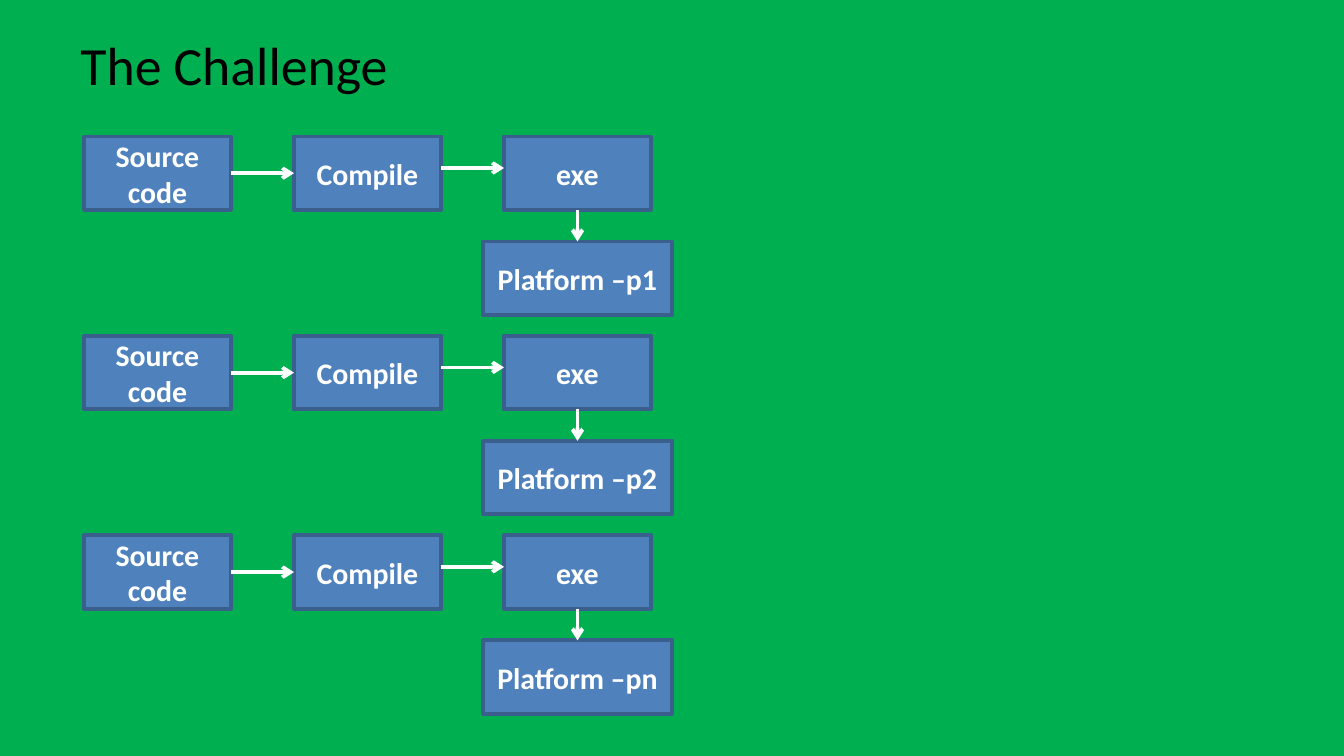
from lxml import etree
from pptx import Presentation
from pptx.dml.color import RGBColor
from pptx.enum import shapes, text
from pptx.oxml import ns
from pptx.util import Pt

GREEN = RGBColor(0x00, 0xB0, 0x50)
BLUE = RGBColor(0x4F, 0x81, 0xBD)
EDGE = RGBColor(0x3A, 0x5F, 0x8C)
WHITE = RGBColor(0xFF, 0xFF, 0xFF)
BLACK = RGBColor(0x00, 0x00, 0x00)
FONT = "Calibri"

STEPS = ["Source code", "Compile", "exe"]
PLATFORMS = ["Platform –p1", "Platform –p2", "Platform –pn"]
BOX_W, BOX_H = 78.75, 39.4
STEP_GAP = 112.5
PLAT_W, PLAT_DROP = 101.25, 56.25
ROW_GAP = 106.85


def style(frame, size, color, bold=False):
    frame.word_wrap = True
    frame.vertical_anchor = text.MSO_ANCHOR.MIDDLE
    font = frame.paragraphs[0].runs[0].font
    font.name, font.size, font.bold = FONT, Pt(size), bold
    font.color.rgb = color


def add_title(slide, x, y, w, h):
    frame = slide.shapes.add_textbox(Pt(x), Pt(y), Pt(w), Pt(h)).text_frame
    frame.text = "The Challenge"
    style(frame, 28.8, BLACK)


def add_box(slide, label, x, y, w):
    box = slide.shapes.add_shape(
        shapes.MSO_SHAPE.RECTANGLE, Pt(x), Pt(y), Pt(w), Pt(BOX_H))
    box.shadow.inherit = False
    box.fill.solid()
    box.fill.fore_color.rgb = BLUE
    box.line.color.rgb = EDGE
    box.line.width = Pt(2)
    frame = box.text_frame
    frame.margin_left = frame.margin_right = Pt(6)
    frame.text = label
    frame.paragraphs[0].alignment = text.PP_ALIGN.CENTER
    style(frame, 16, WHITE, bold=True)
    return box


def add_arrow(slide, x1, y1, x2, y2):
    arrow = slide.shapes.add_connector(
        shapes.MSO_CONNECTOR.STRAIGHT, Pt(x1), Pt(y1), Pt(x2), Pt(y2))
    arrow.line.color.rgb = WHITE
    arrow.line.width = Pt(2)
    line = arrow.line._get_or_add_ln()
    etree.SubElement(line, ns.qn("a:tailEnd"), type="arrow")
    etree.SubElement(arrow._element.spPr, ns.qn("a:effectLst"))
    return arrow


def join(slide, start, side, end, end_side):
    arrow = add_arrow(slide, 0, 0, 0, 0)
    arrow.begin_connect(start, side)
    arrow.end_connect(end, end_side)


def add_build(slide, platform, x, y):
    """Draw one chain from source to exe, with its platform below."""
    source, build, exe = [
        add_box(slide, step, x + i * STEP_GAP, y, BOX_W)
        for i, step in enumerate(STEPS)]
    exe_x = x + 2 * STEP_GAP
    target = add_box(slide, platform, exe_x + (BOX_W - PLAT_W) / 2,
                     y + PLAT_DROP, PLAT_W)
    join(slide, source, 3, build, 1)
    # The second arrow runs a little above the middle of the boxes.
    add_arrow(slide, x + STEP_GAP + BOX_W, y + 16.9, exe_x, y + 16.9)
    join(slide, exe, 2, target, 0)


def main():
    deck = Presentation()
    deck.slide_width, deck.slide_height = Pt(720), Pt(405)
    slide = deck.slides.add_slide(deck.slide_layouts[6])
    slide.background.fill.solid()
    slide.background.fill.fore_color.rgb = GREEN
    add_title(slide, 36, 16.9, 357.8, 34.5)
    for row, platform in enumerate(PLATFORMS):
        add_build(slide, platform, 45, 73.1 + row * ROW_GAP)
    deck.save("out.pptx")


if __name__ == "__main__":
    main()
